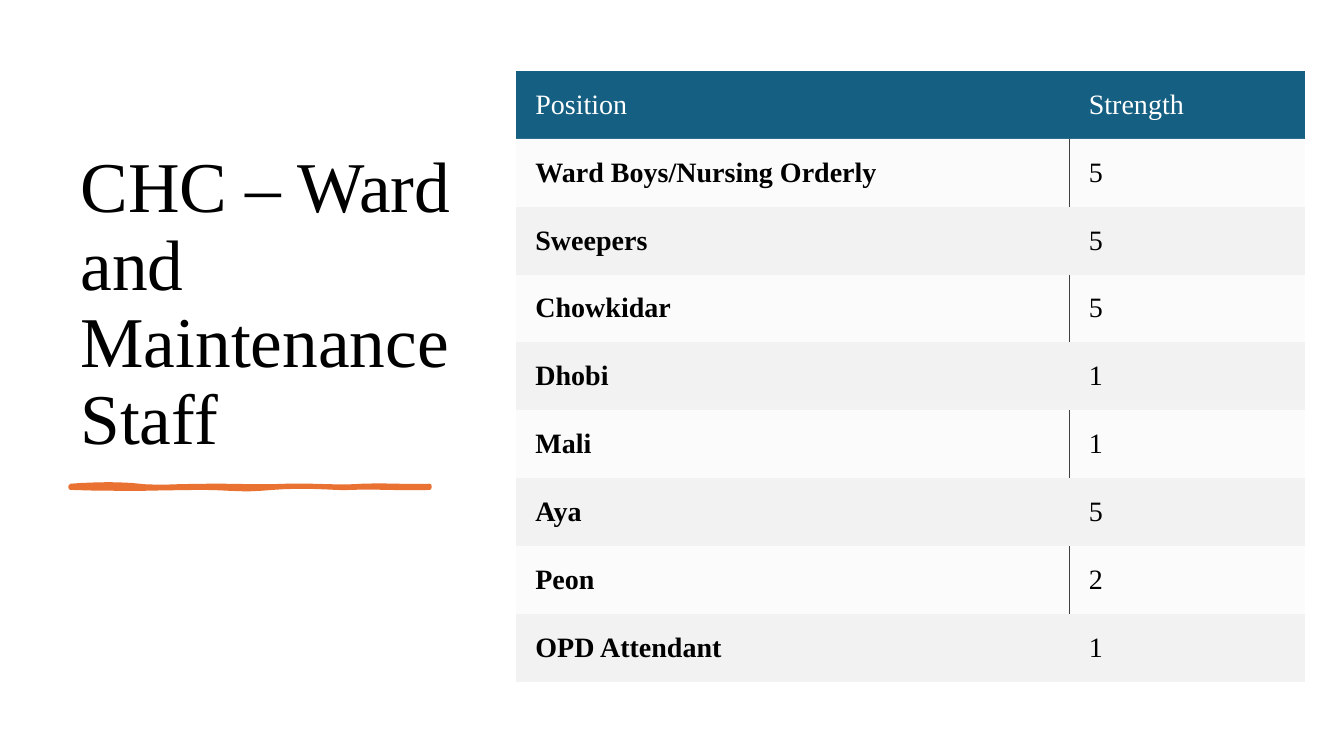
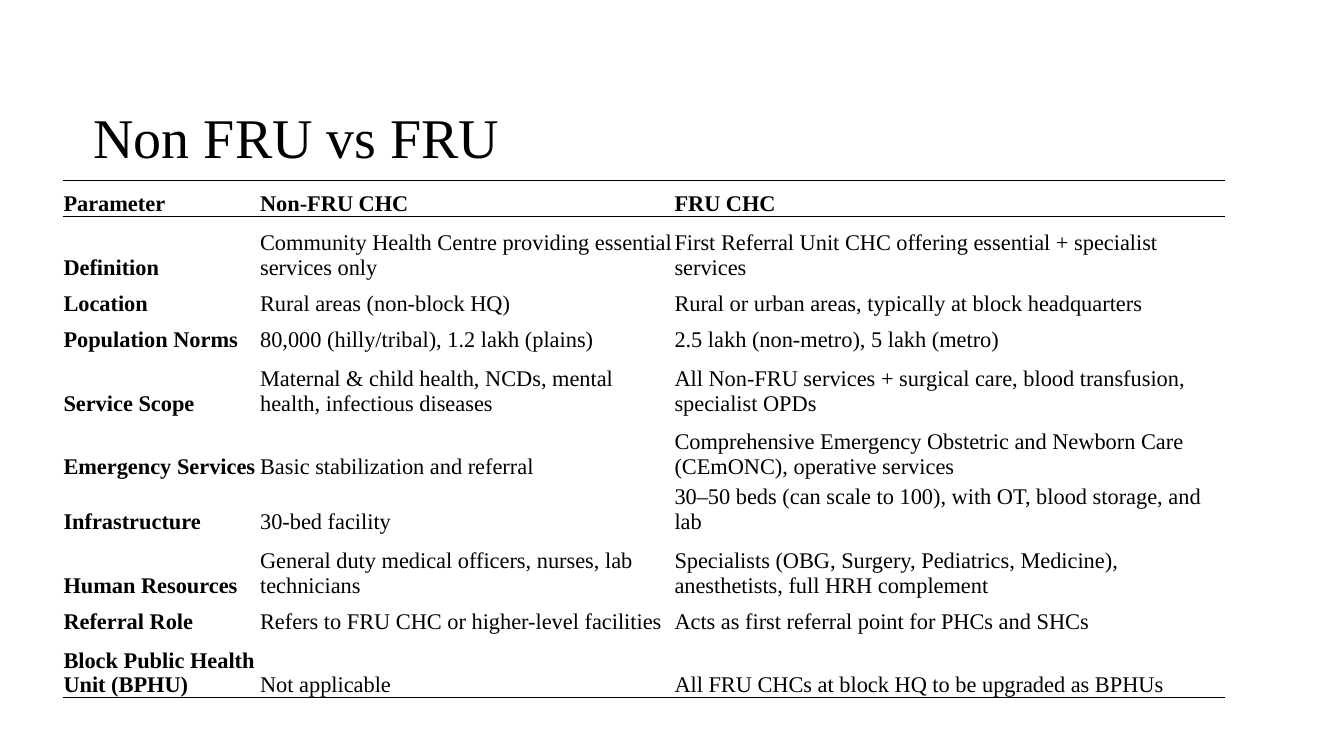
from lxml import etree
from pptx import Presentation
from pptx import util as u
from pptx.dml.color import RGBColor
from pptx.enum import shapes, text
from pptx.oxml import ns

COLORS = {
    "white": "FFFFFF",
    "black": "000000",
    "header": "156082",
    "row": "F2F2F2",
    "divider": "404040",
    "accent": "E97132",
}
FONT = "Times New Roman"
PLAIN_STYLE = "{2D5ABB26-0587-4C30-8999-92F81FD0307C}"
UNITS_PER_INCH = 1000

STAFF = [
    ("Position", "Strength"),
    ("Ward Boys/Nursing Orderly", "5"),
    ("Sweepers", "5"),
    ("Chowkidar", "5"),
    ("Dhobi", "1"),
    ("Mali", "1"),
    ("Aya", "5"),
    ("Peon", "2"),
    ("OPD Attendant", "1"),
]

SHORT, TALL = 0.36, 0.63
COMPARISON = [
    (SHORT, "Parameter", "Non-FRU CHC", "FRU CHC"),
    (TALL, "Definition", "Community Health Centre providing essential services only",
     "First Referral Unit CHC offering essential + specialist services"),
    (SHORT, "Location", "Rural areas (non-block HQ)",
     "Rural or urban areas, typically at block headquarters"),
    (SHORT, "Population Norms", "80,000 (hilly/tribal), 1.2 lakh (plains)",
     "2.5 lakh (non-metro), 5 lakh (metro)"),
    (TALL, "Service Scope", "Maternal & child health, NCDs, mental health, infectious diseases",
     "All Non-FRU services + surgical care, blood transfusion, specialist OPDs"),
    (TALL, "Emergency Services", "Basic stabilization and referral",
     "Comprehensive Emergency Obstetric and Newborn Care (CEmONC), operative services"),
    (SHORT, "Infrastructure", "30-bed facility",
     "30–50 beds (can scale to 100), with OT, blood storage, and lab"),
    (TALL, "Human Resources", "General duty medical officers, nurses, lab technicians",
     "Specialists (OBG, Surgery, Pediatrics, Medicine), anesthetists, full HRH complement"),
    (SHORT, "Referral Role", "Refers to FRU CHC or higher-level facilities",
     "Acts as first referral point for PHCs and SHCs"),
    (TALL, "Block Public Health Unit (BPHU)", "Not applicable",
     "All FRU CHCs at block HQ to be upgraded as BPHUs"),
]

STROKE_START = (0.7, 4.82)
STROKE_CURVES = [
    (0.97, 4.8, 1.21, 4.8, 1.38, 4.82),
    (1.55, 4.84, 1.77, 4.82, 2.09, 4.82),
    (2.41, 4.82, 2.6, 4.83, 2.84, 4.82),
    (3.08, 4.81, 3.39, 4.84, 3.59, 4.82),
    (3.79, 4.81, 4.12, 4.83, 4.26, 4.82),
    (4.26, 4.83, 4.26, 4.84, 4.26, 4.84),
    (4.08, 4.85, 3.64, 4.83, 3.48, 4.84),
    (3.32, 4.85, 3.04, 4.81, 2.7, 4.84),
    (2.35, 4.87, 2.31, 4.84, 1.99, 4.84),
    (1.66, 4.84, 1.32, 4.86, 0.7, 4.84),
]


def rgb(name):
    return RGBColor.from_string(COLORS[name])


def inches(values):
    return [u.Inches(value) for value in values]


def write(holder, content, size, color="black", bold=False, spacing=None):
    paragraph = holder.text_frame.paragraphs[0]
    paragraph.line_spacing = spacing
    run = paragraph.add_run()
    run.text = content
    run.font.name = FONT
    run.font.size = u.Pt(size)
    run.font.bold = bold
    run.font.color.rgb = rgb(color)
    ending = etree.SubElement(paragraph._p, ns.qn("a:endParaRPr"), sz=str(size * 100))
    etree.SubElement(ending, ns.qn("a:latin"), typeface=FONT)


def add_title(slide, content, box, size, anchor):
    title = slide.shapes.add_textbox(*inches(box))
    title.text_frame.word_wrap = True
    title.text_frame.vertical_anchor = anchor
    write(title, content, size, spacing=0.9)


def add_band(slide, box, color):
    band = slide.shapes.add_shape(shapes.MSO_SHAPE.RECTANGLE, *inches(box))
    band.shadow.inherit = False
    band.fill.solid()
    band.fill.fore_color.rgb = rgb(color)
    band.line.fill.background()


def curve_points(start, curves, steps=8):
    x0, y0 = start
    for x1, y1, x2, y2, x3, y3 in curves:
        for step in range(1, steps + 1):
            t = step / steps
            weights = ((1 - t) ** 3, 3 * t * (1 - t) ** 2, 3 * t * t * (1 - t), t ** 3)
            yield tuple(UNITS_PER_INCH * sum(w * p for w, p in zip(weights, axis))
                        for axis in ((x0, x1, x2, x3), (y0, y1, y2, y3)))
        x0, y0 = x3, y3


def add_brush_stroke(slide):
    start = [UNITS_PER_INCH * value for value in STROKE_START]
    builder = slide.shapes.build_freeform(*start, scale=u.Inches(1) / UNITS_PER_INCH)
    builder.add_line_segments(curve_points(STROKE_START, STROKE_CURVES), close=True)
    stroke = builder.convert_to_shape()
    stroke.shadow.inherit = False
    stroke.fill.solid()
    stroke.fill.fore_color.rgb = rgb("accent")
    stroke.line.color.rgb = rgb("accent")
    stroke.line.width = u.Pt(3)


def add_grid(slide, box, widths, heights):
    frame = slide.shapes.add_table(len(heights), len(widths), *inches(box))
    for style in frame._element.iter(ns.qn("a:tableStyleId")):
        style.text = PLAIN_STYLE
    grid = frame.table
    grid.first_row = grid.horz_banding = False
    for column, width in zip(grid.columns, widths):
        column.width = u.Inches(width)
    for row, height in zip(grid.rows, heights):
        row.height = u.Inches(height)
    frame.height = u.Inches(box[3])
    return grid


def add_borders(cell, sides, color, width):
    properties = cell._tc.get_or_add_tcPr()
    for side in sides:
        line = etree.SubElement(properties, ns.qn(f"a:ln{side}"), w=str(u.Pt(width)))
        fill = etree.SubElement(line, ns.qn("a:solidFill"))
        etree.SubElement(fill, ns.qn("a:srgbClr"), val=COLORS[color])


def fill_cell(cell, color, opacity=100):
    cell.fill.solid()
    cell.fill.fore_color.rgb = rgb(color)
    if opacity < 100:
        tint = cell._tc.tcPr.find(ns.qn("a:solidFill")).find(ns.qn("a:srgbClr"))
        etree.SubElement(tint, ns.qn("a:alpha"), val=str(opacity * 1000))


def set_layout(cell, anchor, insets):
    cell.vertical_anchor = anchor
    cell.margin_left, cell.margin_top, cell.margin_right, cell.margin_bottom = inches(insets)


def add_staff_table(slide):
    height = 6.07
    grid = add_grid(slide, (5.12, 0.7, 7.82, height), (5.49, 2.33),
                    [height / len(STAFF)] * len(STAFF))
    for r, row in enumerate(STAFF):
        for c, content in enumerate(row):
            cell = grid.cell(r, c)
            set_layout(cell, text.MSO_ANCHOR.MIDDLE, (0.19, 0.14, 0.14, 0.14))
            if r == 0:
                fill_cell(cell, "header")
            elif r % 2:
                add_borders(cell, "RL"[c], "divider", 0.5)
                fill_cell(cell, "row", opacity=30)
            else:
                fill_cell(cell, "row")
            write(cell, content, 20, color="black" if r else "white", bold=r > 0 and c == 0)


def add_comparison_table(slide):
    heights = [row[0] for row in COMPARISON]
    grid = add_grid(slide, (0.62, 1.79, 11.52, 5.13), (1.95, 4.11, 5.47), heights)
    borders = {0: "TB", len(COMPARISON) - 1: "B"}
    for r, (_, *row) in enumerate(COMPARISON):
        for c, content in enumerate(row):
            cell = grid.cell(r, c)
            set_layout(cell, text.MSO_ANCHOR.BOTTOM, (0.01, 0.01, 0.01, 0))
            add_borders(cell, borders.get(r, ""), "black", 1)
            cell.fill.background()
            write(cell, content, 16, bold=r == 0 or c == 0)


def add_slide(deck):
    slide = deck.slides.add_slide(deck.slide_layouts[6])
    slide.background.fill.solid()
    slide.background.fill.fore_color.rgb = rgb("white")
    return slide


def main():
    deck = Presentation()
    deck.slide_width, deck.slide_height = inches((13.33, 7.5))

    staff = add_slide(deck)
    add_title(staff, "CHC – Ward and Maintenance Staff", (0.7, 0.7, 3.91, 3.91), 51,
              text.MSO_ANCHOR.BOTTOM)
    add_brush_stroke(staff)
    add_staff_table(staff)

    comparison = add_slide(deck)
    add_band(comparison, (0, 0, 13.33, 2.78), "white")
    add_title(comparison, "Non FRU vs FRU", (0.83, 0.51, 10.9, 1.77), 40,
              text.MSO_ANCHOR.MIDDLE)
    add_comparison_table(comparison)

    deck.save("out.pptx")


if __name__ == "__main__":
    main()
